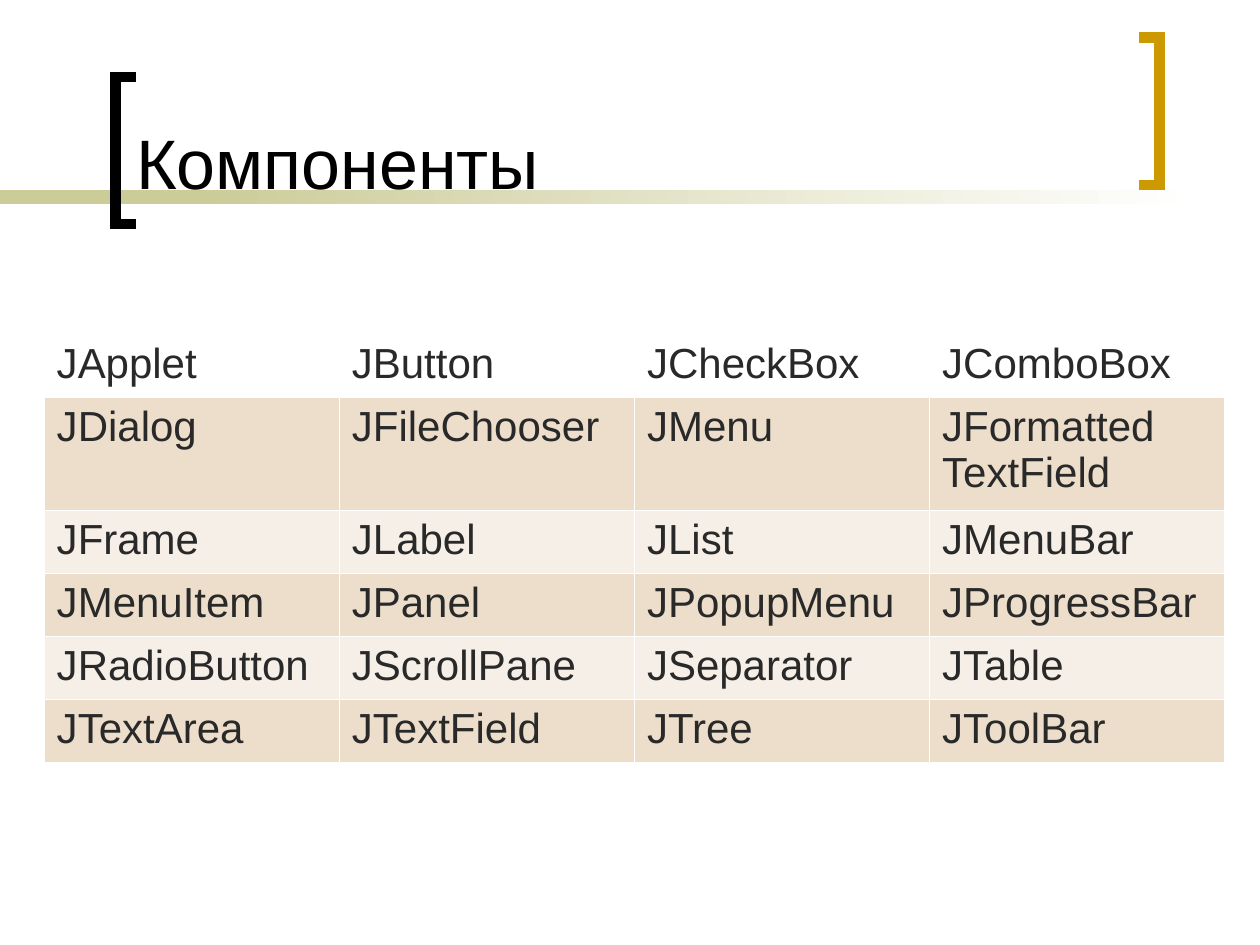
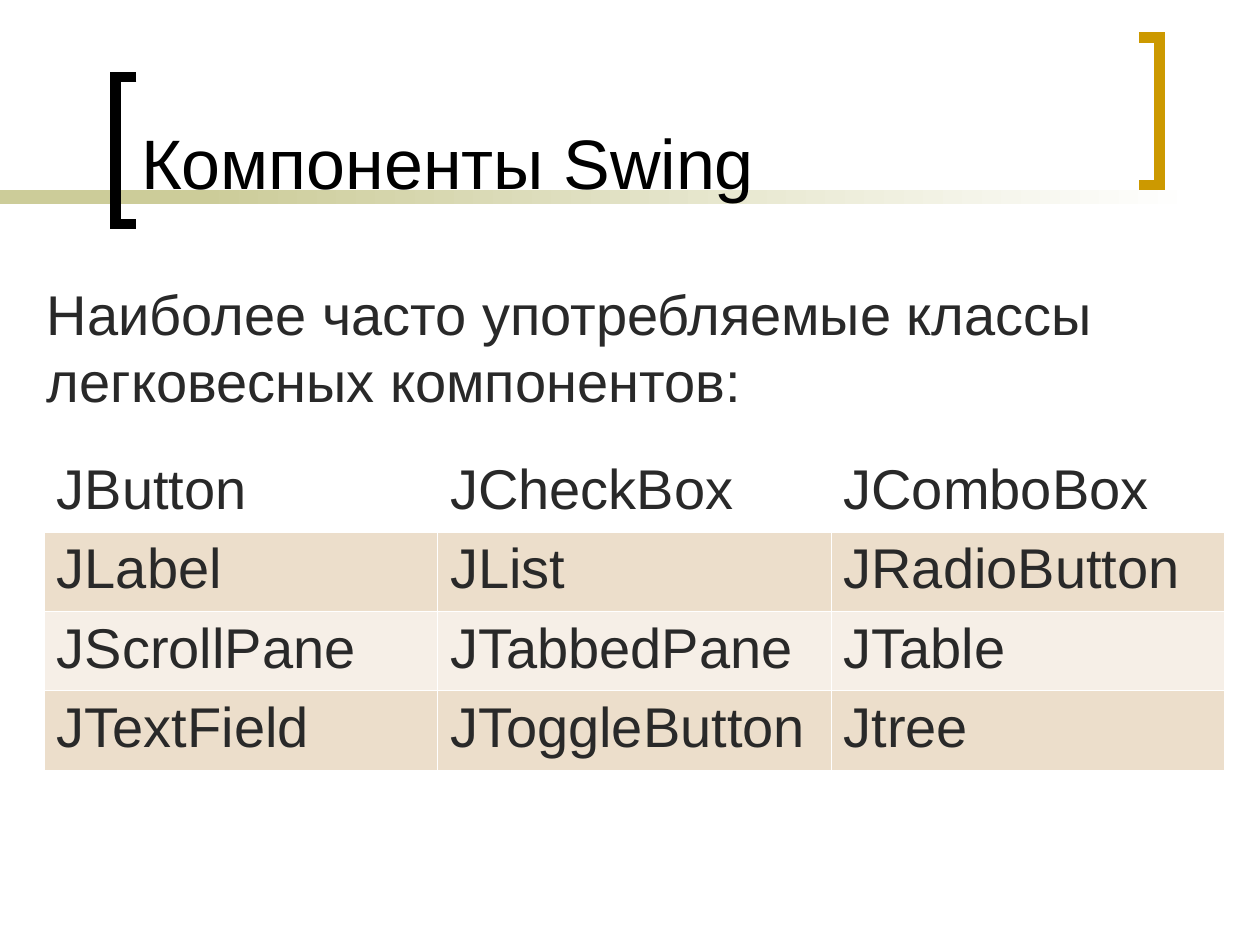
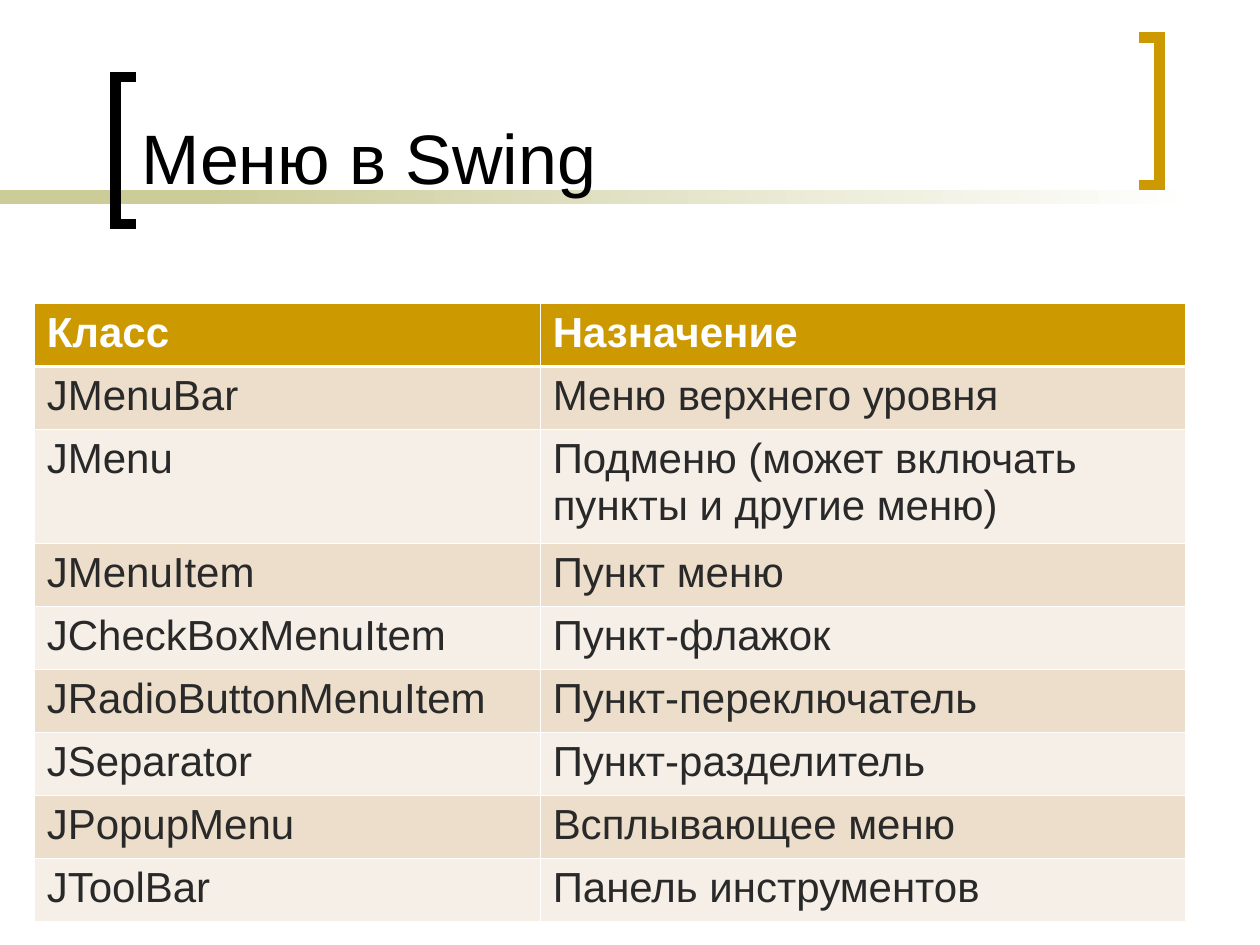
import pptx
import pptx.util
import pptx.dml.color
import pptx.enum.shapes
import pptx.enum.text
import pptx.oxml
import pptx.oxml.ns

Cm = pptx.util.Cm
Pt = pptx.util.Pt
HUES = {"olive": "CCCC99", "gold": "CC9900", "black": "000000", "white": "FFFFFF",
        "ink": "292929", "sand": "ECDECB", "cream": "F6EFE7"}
FONT = "Arial"


def tint(name):
    return pptx.dml.color.RGBColor.from_string(HUES[name])


def write(frame, text, size=24, hue="ink", bold=False, before=0):
    """Fill a text frame, one paragraph for each line of text."""
    frame.text = text
    frame.word_wrap = True
    for par in frame.paragraphs:
        par.alignment = pptx.enum.text.PP_ALIGN.LEFT
        par.space_before = Pt(before)
        font = par.runs[0].font
        font.name, font.size, font.bold = FONT, Pt(size), bold
        font.color.rgb = tint(hue)


# Content: lengths in cm, "box" is left, top, width, height
PAGES = [
    {"title": "Компоненты", "box": (2.49, 0.28, 21.2, 3.94),
     "at": (0.89, 6.73), "cols": [5.95] * 4, "rows": {1: 2.29}, "high": 1.27,
     "size": 24, "head": "white",
     "cells": [
         ["JApplet", "JButton", "JCheckBox", "JComboBox"],
         ["JDialog", "JFileChooser", "JMenu", "JFormatted\nTextField"],
         ["JFrame", "JLabel", "JList", "JMenuBar"],
         ["JMenuItem", "JPanel", "JPopupMenu", "JProgressBar"],
         ["JRadioButton", "JScrollPane", "JSeparator", "JTable"],
         ["JTextArea", "JTextField", "JTree", "JToolBar"]]},
    {"title": "Компоненты Swing", "box": (2.59, 0.28, 19.9, 3.94),
     "body": "Наиболее часто употребляемые классы легковесных компонентов:",
     "at": (0.89, 9.12), "cols": [7.93] * 3, "rows": {}, "high": 1.6,
     "size": 32, "head": None,
     "cells": [
         ["JButton", "JCheckBox", "JComboBox"],
         ["JLabel", "JList", "JRadioButton"],
         ["JScrollPane", "JTabbedPane", "JTable"],
         ["JTextField", "JToggleButton", "Jtree"]]},
    {"title": "Меню в Swing", "box": (2.59, 0.18, 19.9, 3.94),
     "at": (0.69, 6.12), "cols": [10.2, 13.0], "rows": {2: 2.29}, "high": 1.27,
     "size": 24, "head": "gold",
     "cells": [
         ["Класс", "Назначение"],
         ["JMenuBar", "Меню верхнего уровня"],
         ["JMenu", "Подменю (может включать пункты и другие меню)"],
         ["JMenuItem", "Пункт меню"],
         ["JCheckBoxMenuItem", "Пункт-флажок"],
         ["JRadioButtonMenuItem", "Пункт-переключатель"],
         ["JSeparator", "Пункт-разделитель"],
         ["JPopupMenu", "Всплывающее меню"],
         ["JToolBar", "Панель инструментов"]]},
]

# Shared frame: bands (left, width, end hue), brackets (spine, tip, top, hue)
BANDS = [(0, 5.92, "olive"), (4.02, 20.11, "white")]
HOOKS = [(2.33, 2.75, 1.55, "black"), (23.38, 22.96, 0.76, "gold")]
TALL = 2.97

deck = pptx.Presentation()
deck.slide_width, deck.slide_height = Cm(25.4), Cm(19.05)

for page in PAGES:
    lay = deck.slide_layouts[1 if "body" in page else 5]
    slide = deck.slides.add_slide(lay)
    shapes = slide.shapes

    # Bands
    for left, wide, end in BANDS:
        band = shapes.add_shape(pptx.enum.shapes.MSO_SHAPE.RECTANGLE,
                                Cm(left), Cm(3.84), Cm(wide), Cm(0.28))
        band.shadow.inherit = False
        band.line.fill.background()
        band.fill.gradient()
        band.fill.gradient_angle = 0
        for stop, hue in zip(band.fill.gradient_stops, ("olive", end)):
            stop.color.rgb = tint(hue)
        band.fill.gradient_stops[0].position = 0
        band.fill.gradient_stops[1].position = 1

    # Brackets
    for spine, tip, top, hue in HOOKS:
        pen = shapes.build_freeform(Cm(tip), Cm(top))
        pen.add_line_segments([(Cm(spine), Cm(top)), (Cm(spine), Cm(top + TALL)),
                               (Cm(tip), Cm(top + TALL))], close=False)
        hook = pen.convert_to_shape()
        hook.shadow.inherit = False
        hook.fill.background()
        hook.line.width = Pt(6)
        hook.line.color.rgb = tint(hue)
        edge = hook.element.spPr.find(pptx.oxml.ns.qn("a:ln"))
        edge.append(pptx.oxml.parse_xml(
            f'<a:miter {pptx.oxml.ns.nsdecls("a")} lim="800000"/>'))

    # Title and body, in front of the frame
    texts = [(shapes.title, page["title"], page["box"], "BOTTOM",
              {"size": 40, "hue": "black"})]
    if "body" in page:
        texts.append((slide.placeholders[1], page["body"], (0.69, 5.51, 24.2, 11.43),
                      "TOP", {"size": 32, "before": 8}))
    for hold, text, box, side, form in texts:
        hold.left, hold.top, hold.width, hold.height = map(Cm, box)
        frame = hold.text_frame
        write(frame, text, **form)
        frame.auto_size = pptx.enum.text.MSO_AUTO_SIZE.NONE
        frame.vertical_anchor = pptx.enum.text.MSO_ANCHOR[side]
        prop = frame.paragraphs[0]._p.get_or_add_pPr()
        prop.set("marL", "0")
        prop.set("indent", "0")
        prop.append(pptx.oxml.parse_xml(f'<a:buNone {pptx.oxml.ns.nsdecls("a")}/>'))
        hold.element.getparent().append(hold.element)

    # Table
    cells, cols = page["cells"], page["cols"]
    highs = [page["rows"].get(r, page["high"]) for r in range(len(cells))]
    grid = shapes.add_table(len(cells), len(cols), *map(Cm, page["at"]),
                            Cm(sum(cols)), Cm(sum(highs))).table
    grid.first_row = grid.horz_banding = False
    for col, wide in zip(grid.columns, cols):
        col.width = Cm(wide)
    for r, line in enumerate(cells):
        grid.rows[r].height = Cm(highs[r])
        fill = page["head"] if r == 0 else ("cream", "sand")[r % 2]
        head = fill == "gold"
        for c, text in enumerate(line):
            cell = grid.cell(r, c)
            write(cell.text_frame, text, size=page["size"],
                  hue="white" if head else "ink", bold=head)
            # The rule under the first row is thicker
            for side in "LRTB":
                thick = (r, side) in ((0, "B"), (1, "T"))
                cell._tc.get_or_add_tcPr().append(pptx.oxml.parse_xml(
                    f'<a:ln{side} {pptx.oxml.ns.nsdecls("a")} '
                    f'w="{Pt(1.47 if thick else 0.45)}"><a:solidFill>'
                    f'<a:srgbClr val="{HUES["white"]}"/></a:solidFill></a:ln{side}>'))
            if fill:
                cell.fill.solid()
                cell.fill.fore_color.rgb = tint(fill)
            else:
                cell.fill.background()

deck.save("out.pptx")
